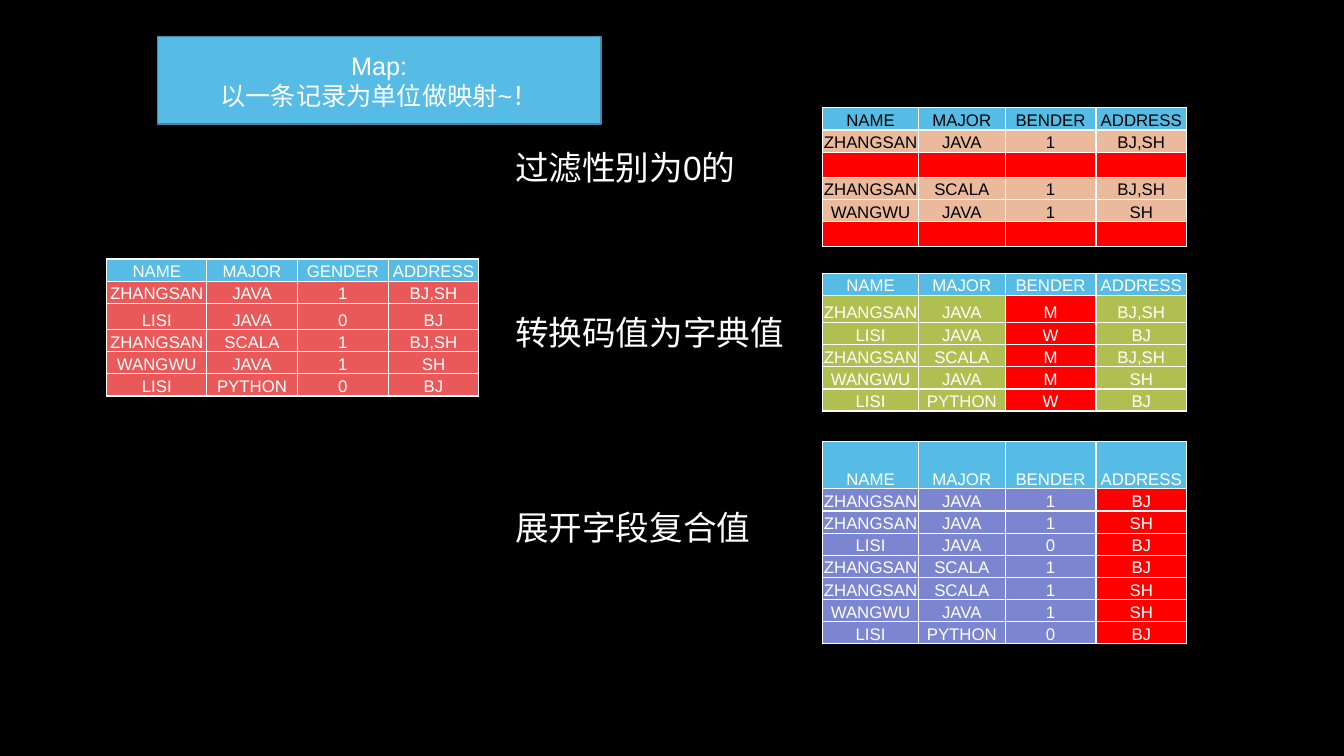
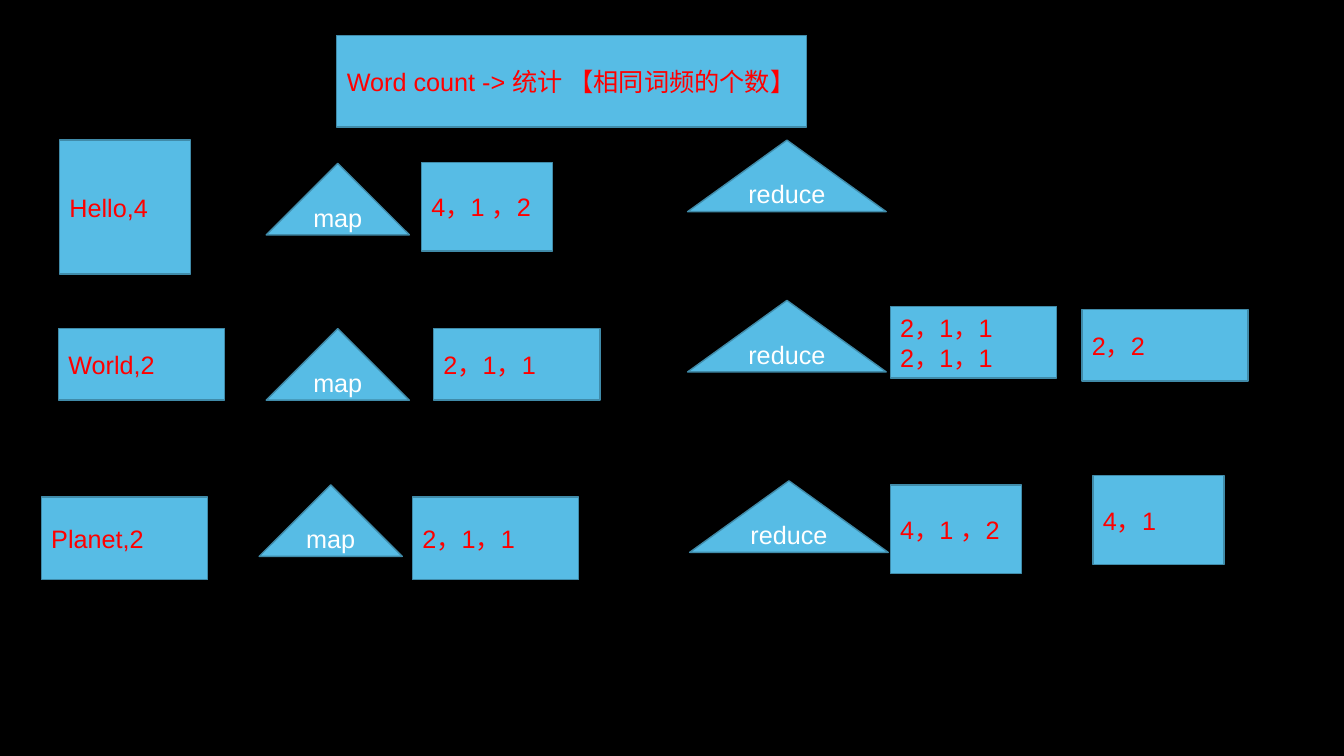
from dataclasses import dataclass
from typing import Optional

import lxml.etree
import pptx
import pptx.dml.color
import pptx.enum.shapes
import pptx.enum.text
import pptx.oxml.ns
import pptx.util

Inches = pptx.util.Inches
RGB = pptx.dml.color.RGBColor
Align = pptx.enum.text.PP_ALIGN
Anchor = pptx.enum.text.MSO_ANCHOR
Preset = pptx.enum.shapes.MSO_SHAPE
qn = pptx.oxml.ns.qn


@dataclass(frozen=True)
class Theme:
    font: str = "Arial"
    black: str = "000000"
    white: str = "FFFFFF"
    red: str = "FF0000"
    sky: str = "57BCE5"
    outline: str = "408BA9"
    coral: str = "E95959"
    peach: str = "EBB99B"
    olive: str = "B0C050"
    violet: str = "7C85D0"
    table_pt: int = 12
    shape_pt: int = 18
    label_pt: int = 24
    line_pt: int = 1


T = Theme()


@dataclass(frozen=True)
class Box:
    left: float
    top: float
    width: float
    height: float

    def emu(self) -> tuple:
        return tuple(Inches(v) for v in (self.left, self.top, self.width, self.height))


@dataclass(frozen=True)
class Grid:
    """A table; an empty row and the marked column are filled red."""
    left: float
    top: float
    columns: tuple
    heights: tuple
    rows: tuple
    fill: str
    color: str = T.white
    marked: Optional[int] = None


@dataclass(frozen=True)
class Label:
    top: float
    width: float
    text: str


@dataclass(frozen=True)
class Node:
    box: Box
    lines: tuple


@dataclass(frozen=True)
class Stage:
    """A triangle that names a processing step."""
    box: Box
    text: str


ROW = 0.22
COLUMNS = (0.95, 0.86, 0.9, 0.9)
GENDER_HEAD = ("NAME", "MAJOR", "GENDER", "ADDRESS")
BENDER_HEAD = ("NAME", "MAJOR", "BENDER", "ADDRESS")
RECORDS = (
    ("ZHANGSAN", "JAVA", "1", "BJ,SH"),
    ("LISI", "JAVA", "0", "BJ"),
    ("ZHANGSAN", "SCALA", "1", "BJ,SH"),
    ("WANGWU", "JAVA", "1", "SH"),
    ("LISI", "PYTHON", "0", "BJ"),
)
FILTERED = tuple(r if r[2] == "1" else ("",) * 4 for r in RECORDS)
DECODED = tuple((n, m, {"1": "M", "0": "W"}[g], a) for n, m, g, a in RECORDS)
EXPANDED = tuple((n, m, g, city) for n, m, g, a in RECORDS for city in a.split(","))

GRIDS = (
    Grid(1.06, 2.57, (0.99, 0.9, 0.9, 0.9), (ROW, ROW, 0.26, ROW, ROW, ROW),
         (GENDER_HEAD,) + RECORDS, T.coral),
    Grid(8.16, 1.07, COLUMNS, (ROW, ROW, 0.25, ROW, ROW, 0.25),
         (BENDER_HEAD,) + FILTERED, T.peach, T.black),
    Grid(8.16, 2.71, COLUMNS, (ROW, 0.27) + (ROW,) * 4,
         (BENDER_HEAD,) + DECODED, T.olive, marked=2),
    Grid(8.16, 4.38, COLUMNS, (0.47,) + (ROW,) * 7,
         (BENDER_HEAD,) + EXPANDED, T.violet, marked=3),
)
LABELS = (
    Label(1.45, 2.45, "过滤性别为0的"),
    Label(3.09, 2.89, "转换码值为字典值"),
    Label(5.03, 2.65, "展开字段复合值"),
)

STAGES = tuple(
    Stage(Box(left, top, width, 0.71), text)
    for text, width, places in (
        ("map", 1.42, ((2.64, 1.62), (2.64, 3.26), (2.57, 4.81))),
        ("reduce", 1.97, ((6.82, 1.39), (6.82, 2.98), (6.84, 4.77))),
    )
    for left, top in places
)
NODES = (
    Node(Box(0.59, 1.39, 1.3, 1.33), ("Hello,4",)),
    Node(Box(0.58, 3.26, 1.65, 0.71), ("World,2",)),
    Node(Box(0.41, 4.93, 1.65, 0.82), ("Planet,2",)),
    Node(Box(4.18, 1.61, 1.3, 0.88), ("4，1 ，2",)),
    Node(Box(4.3, 3.26, 1.65, 0.71), ("2，1，1",)),
    Node(Box(4.09, 4.93, 1.65, 0.82), ("2，1，1",)),
    Node(Box(8.83, 3.04, 1.65, 0.71), ("2，1，1", "2，1，1")),
    Node(Box(8.83, 4.81, 1.3, 0.88), ("4，1 ，2",)),
    Node(Box(10.73, 3.07, 1.65, 0.71), ("2，2",)),
    Node(Box(10.84, 4.72, 1.3, 0.88), ("4，1",)),
)


def write(tf, lines: tuple, size: int, color: str, align=Align.LEFT) -> None:
    for i, line in enumerate(lines):
        p = tf.add_paragraph() if i else tf.paragraphs[0]
        p.alignment = align
        if not line:
            end = lxml.etree.SubElement(p._p, qn("a:endParaRPr"))
            end.set("sz", str(size * 100))
            continue
        r = p.add_run()
        r.text = line
        r.font.name = T.font
        r.font.size = pptx.util.Pt(size)
        r.font.color.rgb = RGB.from_string(color)


def paint(sp, lines: tuple, color: str, align) -> None:
    """Give a shape the shared blue panel style and its text."""
    sp.fill.solid()
    sp.fill.fore_color.rgb = RGB.from_string(T.sky)
    sp.line.color.rgb = RGB.from_string(T.outline)
    sp.line.width = pptx.util.Pt(T.line_pt)
    tf = sp.text_frame
    tf.word_wrap = True
    tf.auto_size = pptx.enum.text.MSO_AUTO_SIZE.NONE
    tf.vertical_anchor = Anchor.MIDDLE
    write(tf, lines, T.shape_pt, color, align)


def add_titled_slide(prs, box: Box, lines: tuple, color: str, align):
    s = prs.slides.add_slide(prs.slide_layouts.get_by_name("Title Only"))
    title = s.shapes.title
    title.left, title.top, title.width, title.height = box.emu()
    paint(title, lines, color, align)
    return s


def add_panel(s, preset, box: Box, lines: tuple, color: str, align) -> None:
    sp = s.shapes.add_shape(preset, *box.emu())
    sp.shadow.inherit = False
    paint(sp, lines, color, align)


def add_borders(cell) -> None:
    tc_pr = cell._tc.get_or_add_tcPr()
    for side in ("a:lnL", "a:lnR", "a:lnT", "a:lnB"):
        ln = lxml.etree.SubElement(tc_pr, qn(side), w=str(pptx.util.Pt(T.line_pt)))
        fill = lxml.etree.SubElement(ln, qn("a:solidFill"))
        lxml.etree.SubElement(fill, qn("a:srgbClr"), val=T.white)


def add_grid(s, grid: Grid) -> None:
    box = Box(grid.left, grid.top, sum(grid.columns), sum(grid.heights))
    table = s.shapes.add_table(len(grid.rows), len(grid.columns), *box.emu()).table
    table.first_row = table.horz_banding = False
    for column, width in zip(table.columns, grid.columns):
        column.width = Inches(width)
    for i, (row, height) in enumerate(zip(grid.rows, grid.heights)):
        table.rows[i].height = Inches(height)
        for j, text in enumerate(row):
            cell = table.cell(i, j)
            cell.margin_left = cell.margin_right = cell.margin_top = Inches(0.01)
            cell.margin_bottom = 0
            cell.vertical_anchor = Anchor.BOTTOM
            add_borders(cell)
            red = not text or j == grid.marked
            fill = T.sky if i == 0 else T.red if red else grid.fill
            cell.fill.solid()
            cell.fill.fore_color.rgb = RGB.from_string(fill)
            write(cell.text_frame, (text,), T.table_pt, grid.color, Align.CENTER)


def add_label(s, label: Label) -> None:
    box = Box(5.01, label.top, label.width, 0.46)
    tf = s.shapes.add_textbox(*box.emu()).text_frame
    tf.word_wrap = True
    write(tf, (label.text,), T.label_pt, T.white)
    tf.paragraphs[0].line_spacing = 0.9


def build_map_slide(prs) -> None:
    s = add_titled_slide(prs, Box(1.56, 0.36, 4.4, 0.87),
                         ("Map:", "以一条记录为单位做映射~！"), T.white, Align.CENTER)
    for grid in GRIDS:
        add_grid(s, grid)
    for label in LABELS:
        add_label(s, label)


def build_word_count_slide(prs) -> None:
    s = add_titled_slide(prs, Box(3.34, 0.35, 4.66, 0.91),
                         ("Word count -> 统计 【相同词频的个数】",), T.red, Align.LEFT)
    for stage in STAGES:
        add_panel(s, Preset.ISOSCELES_TRIANGLE, stage.box, (stage.text,),
                  T.white, Align.CENTER)
    for node in NODES:
        add_panel(s, Preset.RECTANGLE, node.box, node.lines, T.red, Align.LEFT)


def main() -> None:
    prs = pptx.Presentation()
    prs.slide_width, prs.slide_height = Inches(13.33), Inches(7.5)
    background = prs.slide_master.background.fill
    background.solid()
    background.fore_color.rgb = RGB.from_string(T.black)
    build_map_slide(prs)
    build_word_count_slide(prs)
    prs.save("out.pptx")


if __name__ == "__main__":
    main()
